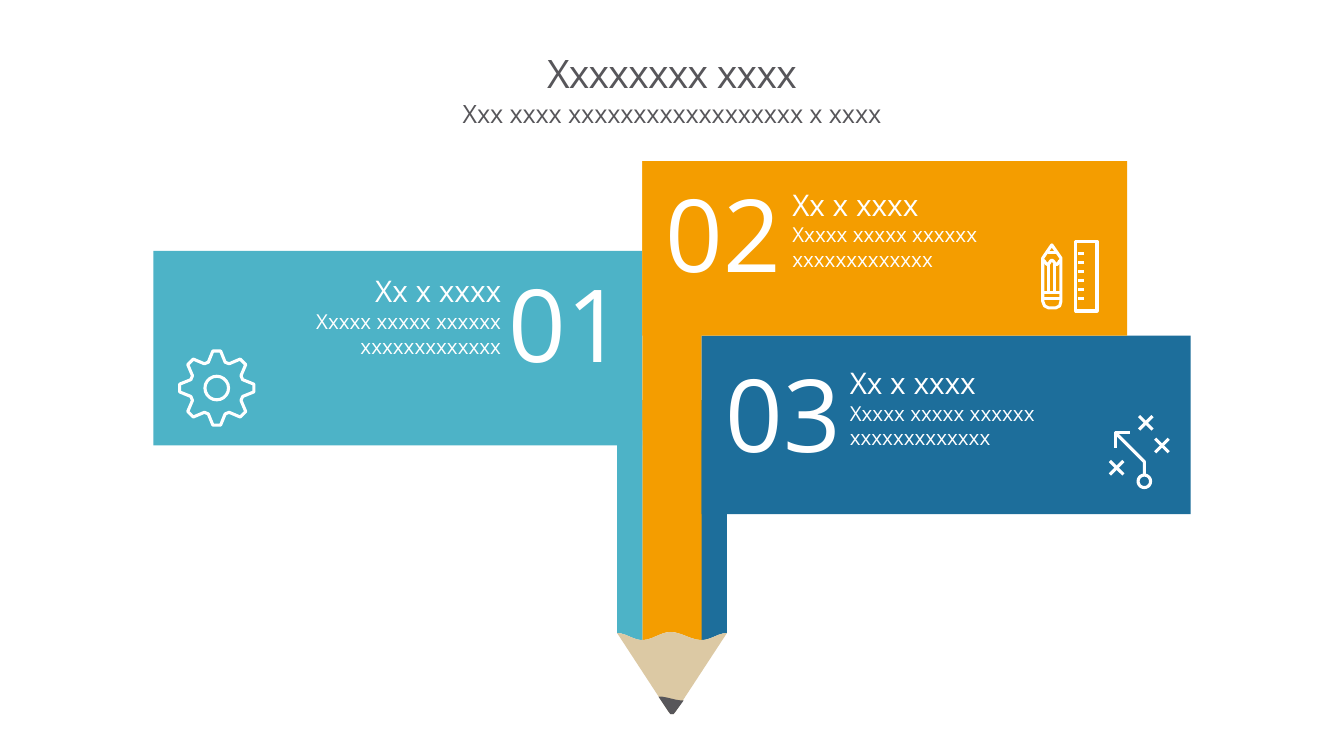
from math import cos, pi, sin

from pptx import Presentation
from pptx.dml.color import RGBColor
from pptx.enum.shapes import MSO_SHAPE as Shape
from pptx.enum.text import MSO_ANCHOR as Anchor, PP_ALIGN as Align
from pptx.util import Inches, Pt

TEAL, ORANGE, BLUE = "4DB3C7", "F49D00", "1D6E9B"
WOOD, GREY, WHITE = "DCC9A4", "57565A", "FFFFFF"


def cells(count):
    """Length of a number of grid cells, ten to the inch both ways."""
    return Inches(count / 10)


def color(hex_code):
    return RGBColor.from_string(hex_code)


class Board:
    """Style and current slide; every position is in grid columns and rows."""
    font = "Open Sans"
    stroke = Pt(2.2)

    def __init__(self, page):
        self.shapes = page.shapes

    def paint(self, shape, fill):
        """Fill the shape, or give it a white outline when fill is None."""
        shape.shadow.inherit = False
        if fill:
            shape.fill.solid()
            shape.fill.fore_color.rgb = color(fill)
            shape.line.fill.background()
        else:
            shape.fill.background()
            shape.line.color.rgb = color(WHITE)
            shape.line.width = self.stroke

    def banner(self, area, fill):
        self.paint(self.shapes.add_shape(Shape.RECTANGLE, *map(cells, area)), fill)

    def outline(self, closed, opened=(), fill=None):
        """Draw closed and open strokes, each a list of points, as one shape."""
        builder = None
        for strokes, close in ((closed, True), (opened, False)):
            for points in strokes:
                start, *rest = [(cells(x), cells(y)) for x, y in points]
                if builder:
                    builder.move_to(*start)
                else:
                    builder = self.shapes.build_freeform(*start)
                builder.add_line_segments(rest, close=close)
        self.paint(builder.convert_to_shape(), fill)

    def text(self, area, lines, ink=WHITE, align=Align.LEFT, anchor=Anchor.TOP,
             spacing=None, inset=True, tracking=0):
        """Write (wording, size) pairs as paragraphs."""
        box = self.shapes.add_textbox(*map(cells, area))
        frame = box.text_frame
        frame.word_wrap = True
        frame.vertical_anchor = anchor
        if not inset:
            frame.margin_left = frame.margin_right = 0
            frame.margin_top = frame.margin_bottom = 0
        for index, (wording, size) in enumerate(lines):
            para = frame.add_paragraph() if index else frame.paragraphs[0]
            para.alignment = align
            para.line_spacing = spacing
            span = para.add_run()
            span.text = wording
            span.font.name = self.font
            span.font.size = Pt(size)
            span.font.color.rgb = color(ink)
            if tracking:
                span.font._element.set("spc", str(round(tracking * 100)))


def wave(points, steps=6):
    """Join crests and troughs with half cosine waves."""
    curve = [points[0]]
    for (x1, y1), (x2, y2) in zip(points, points[1:]):
        for step in range(1, steps + 1):
            share = step / steps
            curve.append((x1 + (x2 - x1) * share,
                          y1 + (y2 - y1) * (1 - cos(pi * share)) / 2))
    return curve


def around(x, y, degrees, radius):
    """Point at a clockwise angle from the top of a circle."""
    angle = degrees * pi / 180
    return x + radius * sin(angle), y - radius * cos(angle)


def ring(x, y, radius):
    return [around(x, y, degrees, radius) for degrees in range(0, 360, 18)]


def draw_pencil(board):
    left, right, top = 61.2, 72.1, 39.7
    crests = [(left, 62.8), (63.7, 63.5), (66.5, 62.7), (69.6, 63.5), (right, 62.8)]
    for fill, part in ((ORANGE, crests[1:4]), (TEAL, crests[:2]), (BLUE, crests[3:])):
        board.outline([[(part[-1][0], top), (part[0][0], top), *wave(part)]], fill=fill)
    tip = [(67, 70.6), (66.8, 70.85), (66.5, 70.85), (66.3, 70.6)]
    board.outline([wave(crests) + tip], fill=WOOD)
    board.outline([wave([(65.3, 69.1), (67.8, 69.5)]) + tip], fill=GREY)


def draw_gear(board, x, y):
    profile = ((-18, 2.7), (-6, 3.7), (6, 3.7), (18, 2.7))
    rim = [around(x, y, tooth * 45 + offset, radius)
           for tooth in range(8) for offset, radius in profile]
    board.outline([rim, ring(x, y, 1.17)])


def draw_pencil_and_ruler(board):
    left, right, middle = 103.42, 105.22, 104.32
    body = [(middle, 24.3), (right, 25.6), (right, 29.9), (105.1, 30.35),
            (104.7, 30.55), (104, 30.55), (103.6, 30.35), (left, 29.9), (left, 25.6)]
    ruler = [(106.7, 23.95), (108.8, 23.95), (108.8, 30.85), (106.7, 30.85)]
    lines = [wave([(left, 25.8), (103.9, 26.25), (middle, 25.8),
                   (104.8, 26.25), (right, 25.8)], 3),
             [(103.9, 25.05), (104.75, 25.05)]]
    lines += [[(left, y), (right, y)] for y in (29.05, 29.65)]
    lines += [[(x, 26.2), (x, 29.05)] for x in (104.02, 104.62)]
    ticks = [25.15 + 0.9 * tick for tick in range(6)]
    lines += [[(106.9, y), (107.5, y)] for y in ticks]
    board.outline([body, ruler], lines)


def draw_route(board):
    corner = (110.65, 42.95)
    arrow = [[(113.5, 47.1), (113.5, 45.8), corner],
             [(110.65, 44.4), corner, (112.1, 42.95)]]
    arm = 0.67
    crosses = [[(x - arm, y - slope), (x + arm, y + slope)]
               for x, y in ((110.75, 46.4), (115.25, 44.2), (113.65, 41.95))
               for slope in (-arm, arm)]
    board.outline([ring(113.5, 47.75, 0.62)], arrow + crosses)


def main():
    deck = Presentation()
    deck.slide_width, deck.slide_height = Inches(13.33), Inches(7.5)
    board = Board(deck.slides.add_slide(deck.slide_layouts[6]))

    heading = dict(ink=GREY, align=Align.CENTER, spacing=0.86, inset=False)
    board.text((10, 3.1, 113.3, 8.9), [("Xxxxxxxx xxxx", 28)],
               anchor=Anchor.MIDDLE, tracking=-0.5, **heading)
    board.text((10, 10.2, 113.3, 4.4), [("Xxx xxxx xxxxxxxxxxxxxxxxxx x xxxx", 18)],
               tracking=-0.1, **heading)

    draw_pencil(board)
    board.banner((63.7, 16, 5.9, 26.7), ORANGE)
    # number, colour, banner, number corner, caption corner, alignment
    banners = (
        ("01", TEAL, (15.2, 24.9, 48.5, 19.3), (42.4, 25.9), (23.6, 26.6), Align.RIGHT),
        ("03", BLUE, (69.6, 33.3, 48.5, 17.7), (72, 34.8), (83.3, 35.7), Align.LEFT),
        ("02", ORANGE, (63.7, 16, 48.1, 17.3), (66, 17), (77.6, 18), Align.LEFT),
    )
    for number, fill, area, number_corner, caption_corner, align in banners:
        board.banner(area, fill)
        board.text((*number_corner, 19.5, 12.1), [(number, 72)], align=align,
                   anchor=Anchor.MIDDLE, inset=False)
        board.text((*caption_corner, 27.1, 21.1),
                   [("Xx x xxxx", 21.3), ("Xxxxx xxxxx xxxxxx xxxxxxxxxxxxx", 14.7)],
                   align=align)

    draw_pencil_and_ruler(board)
    draw_route(board)
    draw_gear(board, 21.5, 38.5)
    deck.save("out.pptx")


if __name__ == "__main__":
    main()
